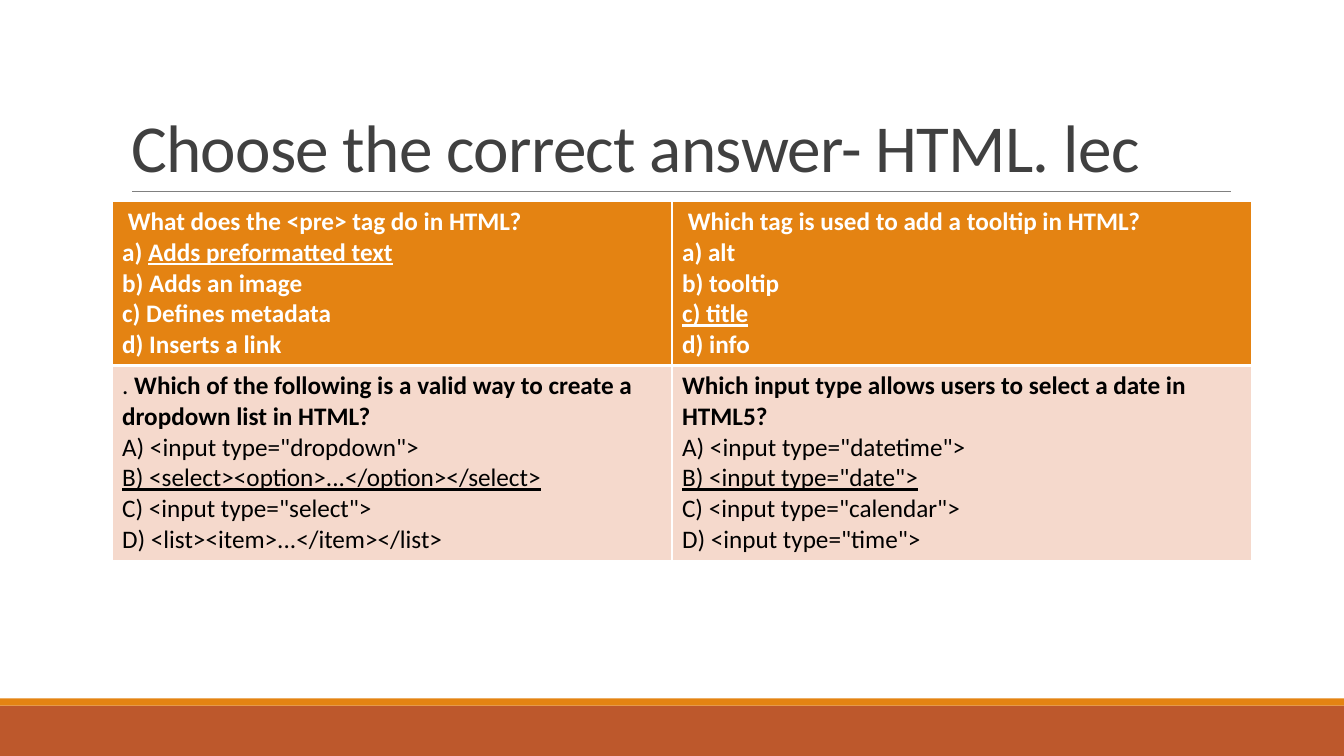
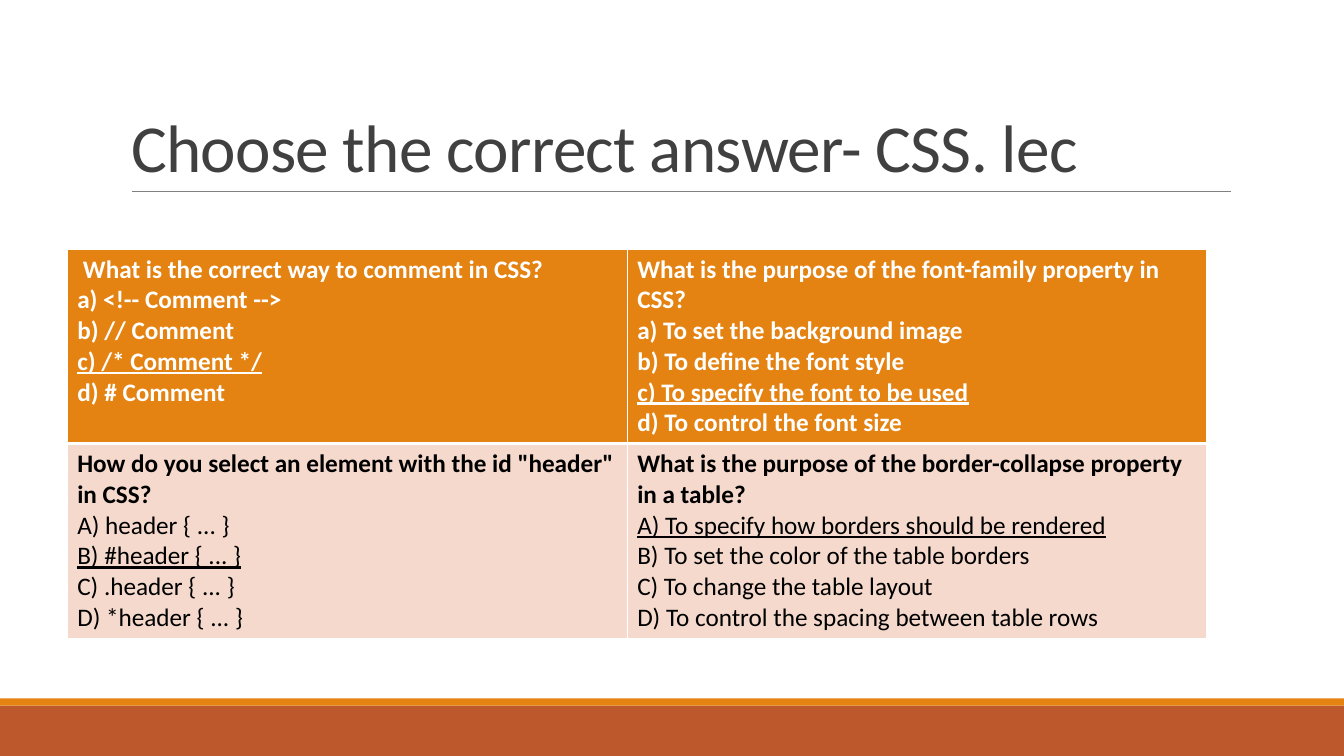
import pptx
import pptx.dml.color
import pptx.enum.shapes
import pptx.enum.text
import pptx.oxml
import pptx.oxml.ns
import pptx.util

RUST = pptx.dml.color.RGBColor(0xBD, 0x58, 0x2C)
ORANGE = pptx.dml.color.RGBColor(0xE4, 0x83, 0x12)
BLUSH = pptx.dml.color.RGBColor(0xF5, 0xD9, 0xCC)
CHARCOAL = pptx.dml.color.RGBColor(0x40, 0x40, 0x40)
GREY = pptx.dml.color.RGBColor(0x80, 0x80, 0x80)
WHITE = pptx.dml.color.RGBColor(0xFF, 0xFF, 0xFF)
BLACK = pptx.dml.color.RGBColor(0, 0, 0)

TITLE_FONT = {"name": "Calibri", "size": pptx.util.Pt(48), "bold": False}
ANSWER_FONT = {"name": "Calibri", "size": pptx.util.Pt(18)}
TITLE_FRAME = {
    "vertical_anchor": pptx.enum.text.MSO_ANCHOR.BOTTOM,
    "auto_size": pptx.enum.text.MSO_AUTO_SIZE.NONE,
    "word_wrap": True,
}
TITLE_PARAGRAPH = {"alignment": pptx.enum.text.PP_ALIGN.LEFT, "line_spacing": 0.85}
TABLE_COLUMNS = [50, 51.75]

# Text between bars is underlined.
QUIZZES = [
    {
        "title": "Choose the correct answer- HTML. lec",
        "corner": (10, 20),
        "row_heights": [16, 19],
        "questions": [
            [
                [" What does the <pre> tag do in HTML?", "a) |Adds preformatted text|",
                 "b) Adds an image", "c) Defines metadata", "d) Inserts a link"],
                [" Which tag is used to add a tooltip in HTML?", "a) alt",
                 "b) tooltip", "|c) title|", "d) info"],
            ],
            [
                [". ||Which of the following is a valid way to create a dropdown list in HTML?",
                 'A) <input type="dropdown">', "|B) <select><option>...</option></select>|",
                 'C) <input type="select">', "D) <list><item>...</item></list>"],
                ["Which input type allows users to select a date in HTML5?",
                 'A) <input type="datetime">', '|B) <input type="date">|',
                 'C) <input type="calendar">', 'D) <input type="time">'],
            ],
        ],
    },
    {
        "title": "Choose the correct answer- CSS. lec",
        "corner": (6, 24.7),
        "row_heights": [19, 19],
        "questions": [
            [
                [" What is the correct way to comment in CSS?", "a) <!-- Comment -->",
                 "b) // Comment", "|c) /* Comment */|", "d) # Comment"],
                ["What is the purpose of the font-family property in CSS?",
                 "a) To set the background image", "b) To define the font style",
                 "|c) To specify the font to be used|", "d) To control the font size"],
            ],
            [
                ['How do you select an element with the id "header" in CSS?',
                 "A) header { ... }", "|B) #header { ... }|",
                 "C) .header { ... }", "D) *header { ... }"],
                ["What is the purpose of the border-collapse property in a table?",
                 "|A) To specify how borders should be rendered|",
                 "B) To set the color of the table borders",
                 "C) To change the table layout",
                 "D) To control the spacing between table rows"],
            ],
        ],
    },
]


def apply_format(target, values):
    for attribute, value in values.items():
        setattr(target, attribute, value)


def grid_box(left, top, width, height):
    return [pptx.util.Emu(round(length)) for length in
            (left * column, top * row, width * column, height * row)]


deck = pptx.Presentation()
deck.slide_width = pptx.util.Inches(13.33)
deck.slide_height = pptx.util.Inches(7.5)
column = deck.slide_width / 120
row = deck.slide_height / 75

layout = deck.slide_layouts[5]
slides = [deck.slides.add_slide(layout) for quiz in QUIZZES]

furniture = []
for top, height, color in [(70, 5, RUST), (69.3, 0.7, ORANGE)]:
    band = slides[0].shapes.add_shape(
        pptx.enum.shapes.MSO_SHAPE.RECTANGLE, *grid_box(0, top, 120, height))
    band.shadow.inherit = False
    band.fill.solid()
    band.fill.fore_color.rgb = color
    band.line.fill.background()
    furniture.append(band)

rule_left, rule_top, rule_right, rule_bottom = grid_box(11.8, 19, 109.9, 19)
title_rule = slides[0].shapes.add_connector(
    pptx.enum.shapes.MSO_CONNECTOR.STRAIGHT, rule_left, rule_top, rule_right, rule_bottom)
title_rule.line.color.rgb = GREY
title_rule.line.width = pptx.util.Pt(0.5)
title_rule.element.spPr.append(pptx.oxml.parse_xml(
    f'<a:effectLst {pptx.oxml.ns.nsdecls("a")}/>'))
furniture.append(title_rule)

for part in furniture:
    layout.shapes.element.append(part.element)

for slide, quiz in zip(slides, QUIZZES):
    title = slide.shapes.title
    title_box = grid_box(10.8, 3.1, 99, 15.9)
    apply_format(title, dict(zip(("left", "top", "width", "height"), title_box)))
    title.text_frame.text = quiz["title"]
    apply_format(title.text_frame, TITLE_FRAME)
    heading = title.text_frame.paragraphs[0]
    apply_format(heading, TITLE_PARAGRAPH)
    apply_format(heading.runs[0].font, TITLE_FONT)
    heading.runs[0].font.color.rgb = CHARCOAL
    for properties in title.element.iter(pptx.oxml.ns.qn("a:rPr")):
        properties.set("spc", "-50")

    answers = slide.shapes.add_table(2, 2, *grid_box(
        *quiz["corner"], sum(TABLE_COLUMNS), sum(quiz["row_heights"]))).table
    answers.horz_banding = False
    for table_column, width in zip(answers.columns, TABLE_COLUMNS):
        table_column.width = pptx.util.Emu(round(width * column))
    for table_row, height in zip(answers.rows, quiz["row_heights"]):
        table_row.height = pptx.util.Emu(round(height * row))

    for row_index, questions in enumerate(quiz["questions"]):
        is_header = row_index == 0
        for column_index, lines in enumerate(questions):
            cell = answers.cell(row_index, column_index)
            paragraph = cell.text_frame.paragraphs[0]
            for line_index, line in enumerate(lines):
                if line_index and is_header:
                    paragraph = cell.text_frame.add_paragraph()
                elif line_index:
                    paragraph.add_line_break()
                for piece_index, piece in enumerate(line.split("|")):
                    if not piece:
                        continue
                    run = paragraph.add_run()
                    run.text = piece
                    apply_format(run.font, ANSWER_FONT)
                    run.font.bold = is_header or (line_index == 0 and piece != ". ")
                    run.font.underline = piece_index % 2 == 1
                    run.font.color.rgb = WHITE if is_header else BLACK
            for break_mark in cell.text_frame._txBody.iter(pptx.oxml.ns.qn("a:br")):
                break_mark.append(pptx.oxml.parse_xml(
                    f'<a:rPr {pptx.oxml.ns.nsdecls("a")} sz="1800"/>'))

            cell_properties = cell._tc.get_or_add_tcPr()
            for side in ("L", "R", "T", "B"):
                thick = side == ("B" if is_header else "T")
                width = pptx.util.Pt(3 if thick else 1)
                cell_properties.append(pptx.oxml.parse_xml(
                    f'<a:ln{side} {pptx.oxml.ns.nsdecls("a")} w="{width}">'
                    f'<a:solidFill><a:srgbClr val="{WHITE}"/></a:solidFill></a:ln{side}>'))
            cell.fill.solid()
            cell.fill.fore_color.rgb = ORANGE if is_header else BLUSH

deck.save("out.pptx")
